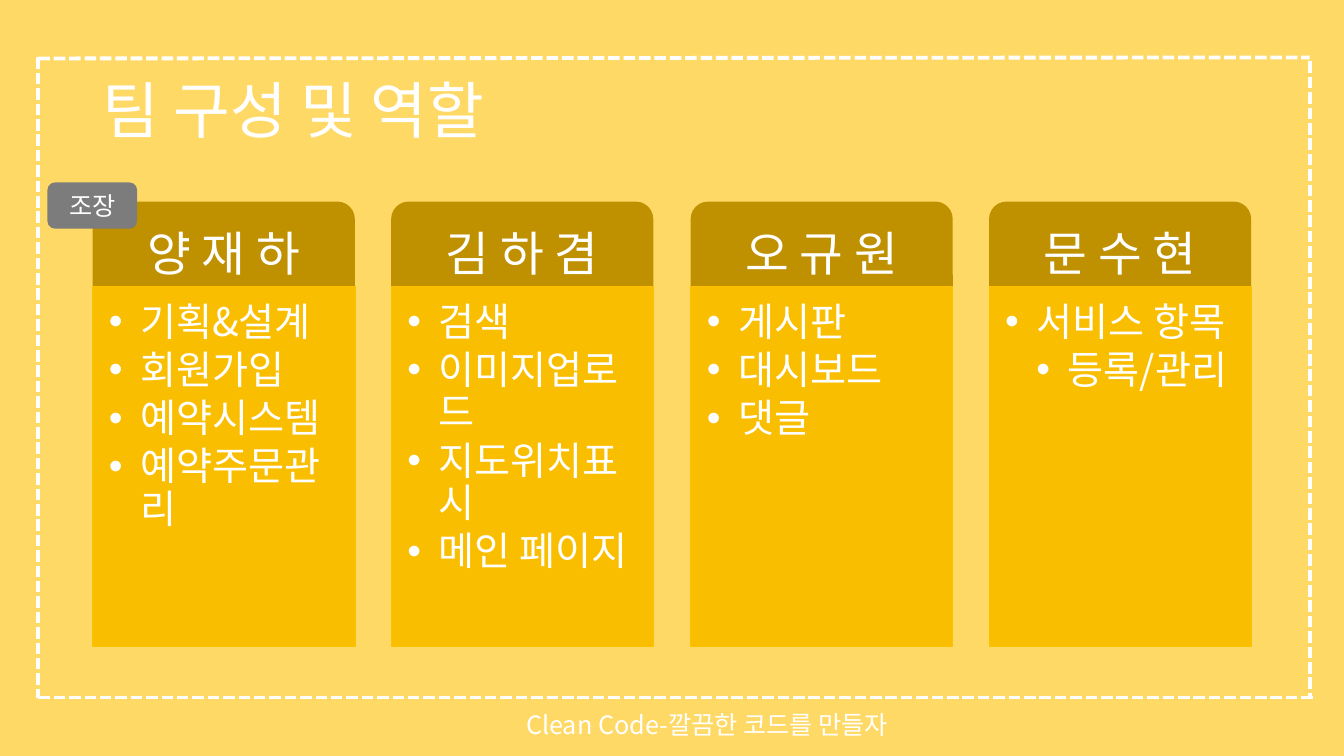
"""Build the team roles slide: four member cards inside a dashed frame."""
from dataclasses import dataclass

from lxml import etree
from pptx import Presentation
from pptx import util as u
from pptx.dml.color import RGBColor
from pptx.enum import dml, shapes, text
from pptx.oxml.ns import qn

SCALE = 9144
FONT = "Noto Sans CJK KR"
WHITE = RGBColor(0xFF, 0xFF, 0xFF)
CREAM = RGBColor(0xFF, 0xD9, 0x66)
BRONZE = RGBColor(0xBF, 0x90, 0x00)
AMBER = RGBColor(0xFA, 0xBE, 0x00)
GOLD = RGBColor(0xFF, 0xC0, 0x00)
GREY = RGBColor(0x7C, 0x7C, 0x7C)
CARD_LEFT, CARD_WIDTH, CARD_SPAN = 92, 260, 889
LIST_INDENT = 31


@dataclass(frozen=True)
class Task:
    label: str
    level: int = 1


@dataclass(frozen=True)
class Member:
    name: str
    tasks: tuple[Task, ...]


@dataclass(frozen=True)
class Edge:
    x1: int
    y1: int
    x2: int
    y2: int


MEMBERS = (
    Member("양 재 하", (Task("기획&설계"), Task("회원가입"),
                     Task("예약시스템"), Task("예약주문관리"))),
    Member("김 하 겸", (Task("검색"), Task("이미지업로드"),
                     Task("지도위치표시"), Task("메인 페이지"))),
    Member("오 규 원", (Task("게시판"), Task("대시보드"), Task("댓글"))),
    Member("문 수 현", (Task("서비스 항목"), Task("등록/관리", 2))),
)
FRAME = (
    Edge(38, 58, 1299, 57),
    Edge(38, 692, 1305, 692),
    Edge(38, 57, 38, 692),
    Edge(1299, 61, 1299, 692),
)


def px(length: int) -> u.Emu:
    return u.Emu(length * SCALE)


def place(shape, left: int, top: int, width: int, height: int) -> None:
    shape.left, shape.top = px(left), px(top)
    shape.width, shape.height = px(width), px(height)


def set_frame(frame, anchor, insets=(10, 5, 10, 5)) -> None:
    frame.word_wrap = True
    frame.auto_size = text.MSO_AUTO_SIZE.NONE
    frame.vertical_anchor = anchor
    frame.margin_left, frame.margin_top, frame.margin_right, frame.margin_bottom = map(px, insets)


def add_span(para, words: str, size: int) -> None:
    span = para.add_run()
    span.text = words
    span.font.size = u.Pt(size)
    span.font.name = FONT
    span.font.bold = False
    span.font.color.rgb = WHITE
    etree.SubElement(span.font._element, qn("a:ea"), typeface=FONT)


def set_spacing(para, after: float) -> None:
    para.line_spacing = 0.9
    para.space_before = u.Pt(0)
    para.space_after = u.Pt(after)


def add_label(page, preset, area: tuple[int, int, int, int], fill: RGBColor,
              words: str, size: int, insets=(10, 5, 10, 5)):
    box = page.shapes.add_shape(preset, *map(px, area))
    box.shadow.inherit = False
    box.fill.solid()
    box.fill.fore_color.rgb = fill
    box.line.fill.background()
    set_frame(box.text_frame, text.MSO_ANCHOR.MIDDLE, insets)
    para = box.text_frame.paragraphs[0]
    para.alignment = text.PP_ALIGN.CENTER
    add_span(para, words, size)
    return para


def fill_tasks(body, left: int, tasks: tuple[Task, ...]) -> None:
    body.element.getparent().append(body.element)
    place(body, left, 284, CARD_WIDTH, 357)
    body.fill.solid()
    body.fill.fore_color.rgb = AMBER
    body.line.color.rgb = GOLD
    body.line.width = u.Pt(0.5)
    frame = body.text_frame
    set_frame(frame, text.MSO_ANCHOR.TOP, (16, 16, 22, 24))
    for number, task in enumerate(tasks):
        para = frame.add_paragraph() if number else frame.paragraphs[0]
        para.level = task.level
        set_spacing(para, 4.2)
        props = para._p.get_or_add_pPr()
        props.set("marL", str(px(LIST_INDENT * task.level)))
        props.set("indent", str(px(-LIST_INDENT)))
        etree.SubElement(props, qn("a:buFont"), typeface="Arial")
        etree.SubElement(props, qn("a:buChar"), char="•")
        add_span(para, task.label, 28)


def add_card(page, body, left: int, member: Member) -> None:
    para = add_label(page, shapes.MSO_SHAPE.ROUND_2_SAME_RECTANGLE,
                     (left, 200, CARD_WIDTH, 104), BRONZE, member.name, 34, (26, 15, 26, 15))
    set_spacing(para, 11.9)
    fill_tasks(body, left, member.tasks)


def add_edge(page, edge: Edge) -> None:
    line = page.shapes.add_connector(shapes.MSO_CONNECTOR.STRAIGHT, px(edge.x1), px(edge.y1),
                                     px(edge.x2), px(edge.y2))
    line.line.color.rgb = WHITE
    line.line.width = u.Pt(2.75)
    line.line.dash_style = dml.MSO_LINE.SQUARE_DOT
    etree.SubElement(line._element.spPr, qn("a:effectLst"))


def main() -> None:
    deck = Presentation()
    deck.slide_width, deck.slide_height = px(1333), px(750)
    page = deck.slides.add_slide(deck.slide_layouts.get_by_name("Comparison"))
    page.background.fill.solid()
    page.background.fill.fore_color.rgb = CREAM

    title, *bodies = page.placeholders
    place(title, 92, 40, 1150, 145)
    set_frame(title.text_frame, text.MSO_ANCHOR.MIDDLE)
    heading = title.text_frame.paragraphs[0]
    heading.alignment = text.PP_ALIGN.LEFT
    set_spacing(heading, 0)
    add_span(heading, "팀 구성 및 역할", 44)

    for column, (body, member) in enumerate(zip(bodies, MEMBERS)):
        left = CARD_LEFT + round(CARD_SPAN * column / (len(MEMBERS) - 1))
        add_card(page, body, left, member)
    for edge in FRAME:
        add_edge(page, edge)

    motto = page.shapes.add_textbox(px(512), px(699), px(667), px(40))
    set_frame(motto.text_frame, text.MSO_ANCHOR.TOP)
    add_span(motto.text_frame.paragraphs[0], "Clean Code-깔끔한 코드를 만들자", 18)
    add_label(page, shapes.MSO_SHAPE.ROUNDED_RECTANGLE, (47, 181, 89, 46), GREY, "조장", 18)

    deck.save("out.pptx")


if __name__ == "__main__":
    main()
